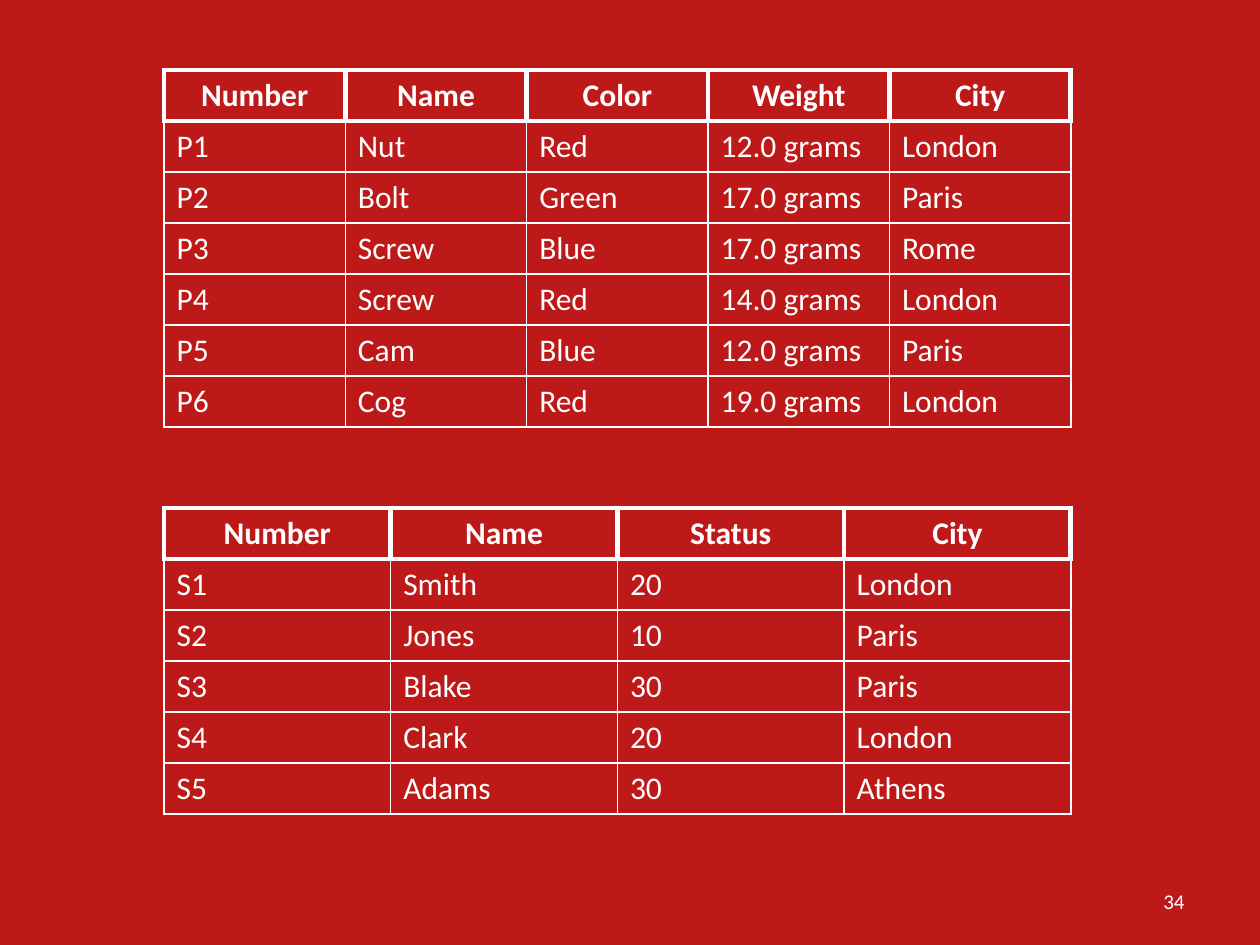
from lxml import etree
from pptx import Presentation
from pptx.dml.color import RGBColor
from pptx.enum.text import MSO_ANCHOR, PP_ALIGN
from pptx.oxml.ns import qn
from pptx.util import Emu, Pt

MIDDLE = MSO_ANCHOR.MIDDLE
LEFT, CENTER, RIGHT = PP_ALIGN.LEFT, PP_ALIGN.CENTER, PP_ALIGN.RIGHT

PX_PER_INCH = 126
FONT = "Calibri"
COLORS = {"background": "BE1919", "text": "FFFFFF", "border": "FFFFFF"}
HEADER_LINE, BODY_LINE = 3, 1

PARTS = [
    ("Number", "Name", "Color", "Weight", "City"),
    ("P1", "Nut", "Red", "12.0 grams", "London"),
    ("P2", "Bolt", "Green", "17.0 grams", "Paris"),
    ("P3", "Screw", "Blue", "17.0 grams", "Rome"),
    ("P4", "Screw", "Red", "14.0 grams", "London"),
    ("P5", "Cam", "Blue", "12.0 grams", "Paris"),
    ("P6", "Cog", "Red", "19.0 grams", "London"),
]
SUPPLIERS = [
    ("Number", "Name", "Status", "City"),
    ("S1", "Smith", "20", "London"),
    ("S2", "Jones", "10", "Paris"),
    ("S3", "Blake", "30", "Paris"),
    ("S4", "Clark", "20", "London"),
    ("S5", "Adams", "30", "Athens"),
]


def px(length):
    return Emu(round(length * 914400 / PX_PER_INCH))


def add_text(text_frame, text, size, alignment, bold=False):
    paragraph = text_frame.paragraphs[0]
    paragraph.alignment = alignment
    run = paragraph.add_run()
    run.text = text
    run.font.name = FONT
    run.font.size = Pt(size)
    run.font.bold = bold
    run.font.color.rgb = RGBColor.from_string(COLORS["text"])


def set_borders(cell, width, top_width):
    """Draw the four cell borders; they must come before the fill in the XML."""
    properties = cell._tc.get_or_add_tcPr()
    widths = {"a:lnL": width, "a:lnR": width, "a:lnT": top_width, "a:lnB": width}
    for position, (tag, points) in enumerate(widths.items()):
        line = etree.Element(qn(tag), w=str(Pt(points)))
        fill = etree.SubElement(line, qn("a:solidFill"))
        etree.SubElement(fill, qn("a:srgbClr"), val=COLORS["border"])
        properties.insert(position, line)


def add_data_table(slide, rows, left, top, width, row_height):
    """Place a table whose first row is a bold, heavily ruled header."""
    column_count = len(rows[0])
    table = slide.shapes.add_table(
        len(rows), column_count, px(left), px(top),
        px(width), px(row_height * len(rows))).table
    table.horz_banding = False
    for column in table.columns:
        column.width = px(width / column_count)
    for row_index, values in enumerate(rows):
        is_header = row_index == 0
        table.rows[row_index].height = px(row_height)
        for column_index, value in enumerate(values):
            cell = table.cell(row_index, column_index)
            cell.vertical_anchor = MIDDLE
            cell.fill.background()
            set_borders(cell, HEADER_LINE if is_header else BODY_LINE,
                        HEADER_LINE if row_index <= 1 else BODY_LINE)
            add_text(cell.text_frame, value, 18,
                     CENTER if is_header else LEFT, bold=is_header)


def add_slide_number(slide, number, left, top, width, height):
    text_frame = slide.shapes.add_textbox(
        px(left), px(top), px(width), px(height)).text_frame
    text_frame.word_wrap = True
    text_frame.vertical_anchor = MIDDLE
    add_text(text_frame, number, 12, RIGHT)


def main():
    presentation = Presentation()
    presentation.slide_width = px(1260)
    presentation.slide_height = px(945)
    slide = presentation.slides.add_slide(presentation.slide_layouts[6])
    background = slide.background.fill
    background.solid()
    background.fore_color.rgb = RGBColor.from_string(COLORS["background"])

    add_slide_number(slide, "34", 903, 876, 294, 50)
    for rows, top in ((PARTS, 70), (SUPPLIERS, 508)):
        add_data_table(slide, rows, 164, top, 907, 51)
    presentation.save("out.pptx")


if __name__ == "__main__":
    main()
